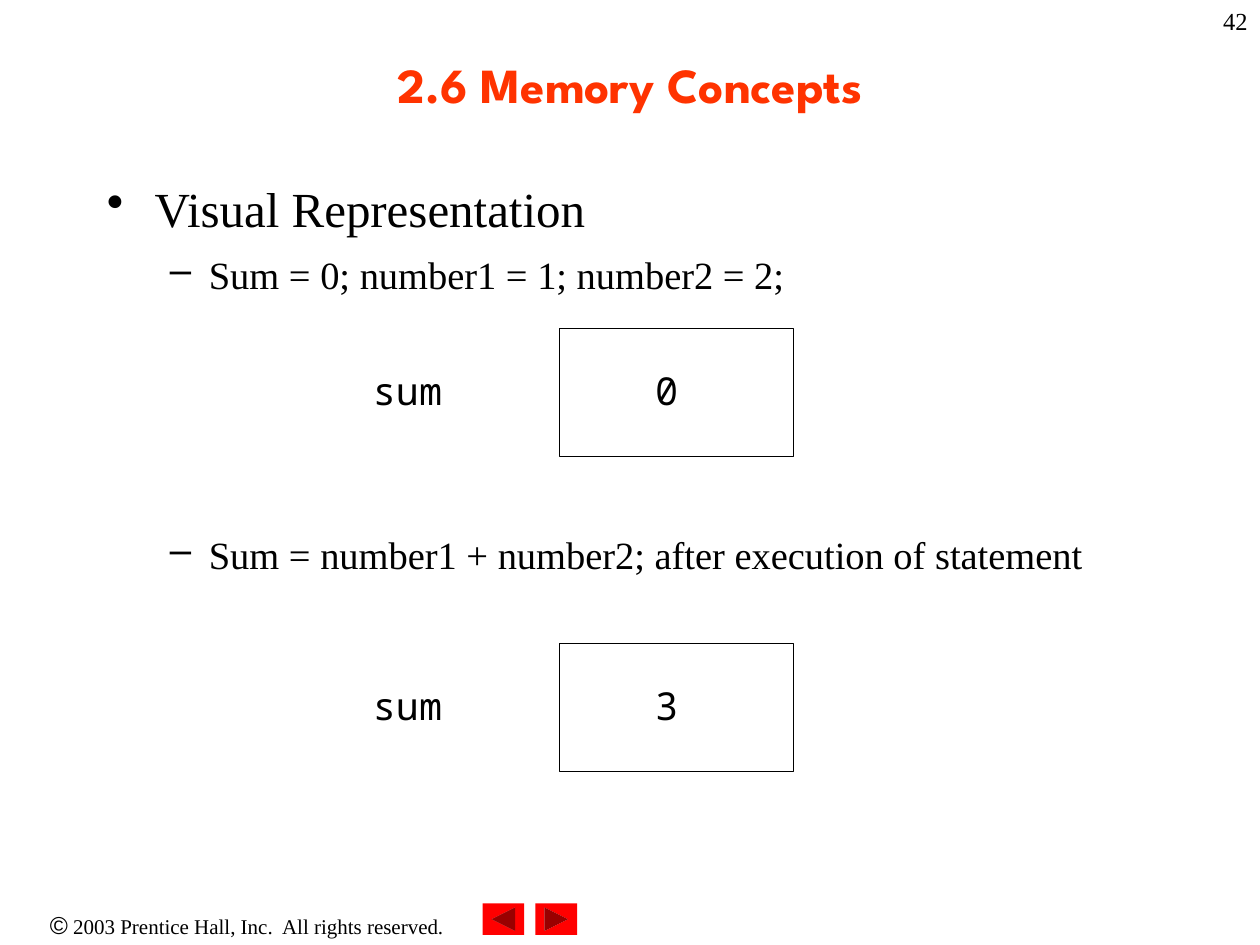
"""Build a slide on memory concepts with two labelled memory cells."""
import pptx
import pptx.util
import pptx.dml.color
import pptx.enum.shapes
import pptx.enum.text
import pptx.oxml.ns
import lxml.etree

Inches, Pt = pptx.util.Inches, pptx.util.Pt
Shape = pptx.enum.shapes.MSO_SHAPE
Align = pptx.enum.text.PP_ALIGN
Anchor = pptx.enum.text.MSO_ANCHOR
hues = {"text": "000000", "title": "FF3300", "button": "FF0000", "cell": "FFFFFF"}
serif, mono = "Times New Roman", "Noto Sans Mono"


def style(run, size, face, hue="text"):
    run.font.size = Pt(size)
    run.font.name = face
    run.font.color.rgb = pptx.dml.color.RGBColor.from_string(hues[hue])


def write(shapes, box, text, size, face, align=Align.LEFT, inset=(0.1, 0.05)):
    frame = shapes.add_textbox(*map(Inches, box)).text_frame
    frame.margin_left = frame.margin_right = Inches(inset[0])
    frame.margin_top = frame.margin_bottom = Inches(inset[1])
    frame.word_wrap = inset[0] > 0
    frame.text = text
    frame.paragraphs[0].alignment = align
    for run in frame.paragraphs[0].runs:
        style(run, size, face)
    return frame


deck = pptx.Presentation()
deck.slide_width, deck.slide_height = Inches(10), Inches(7.5)
slide = deck.slides.add_slide(deck.slide_layouts[5])
shapes = slide.shapes

title = shapes.title
title.left, title.top = Inches(0.75), Inches(0.08)
title.width, title.height = Inches(8.5), Inches(1.17)
frame = title.text_frame
frame.text = "2.6 Memory Concepts"
frame.vertical_anchor = Anchor.MIDDLE
frame.paragraphs[0].alignment = Align.CENTER
style(frame.paragraphs[0].runs[0], 28, "League Spartan", "title")
frame.paragraphs[0].runs[0].font.bold = True

points = [
    ("Visual Representation", 0, 28, 0),
    ("Sum = 0; number1 = 1; number2 = 2;", 1, 22, 7.5),
    ("Sum = number1 + number2; after execution of statement", 1, 22, 134),
]
indents = [(0.38, -0.38, "•"), (0.81, -0.31, "–")]
body = write(shapes, (0.75, 1.37, 8.5, 5.71), points[0][0], 28, serif)
for text, level, size, gap in points:
    para = body.paragraphs[0] if level == 0 else body.add_paragraph()
    para.text = text
    para.level = level
    para.space_before = Pt(gap)
    left, hang, mark = indents[level]
    props = para._p.get_or_add_pPr()
    props.set("marL", str(Inches(left)))
    props.set("indent", str(Inches(hang)))
    bullet = lxml.etree.SubElement(props, pptx.oxml.ns.qn("a:buChar"))
    bullet.set("char", mark)
    style(para.runs[0], size, serif)

for top, value in [(2.61, "0"), (5.11, "3")]:
    group = shapes.add_group_shape().shapes
    cell = group.add_shape(Shape.RECTANGLE, *map(Inches, (4.44, top, 1.86, 1.01)))
    cell.shadow.inherit = False
    cell.fill.solid()
    cell.fill.fore_color.rgb = pptx.dml.color.RGBColor.from_string(hues["cell"])
    cell.line.color.rgb = pptx.dml.color.RGBColor.from_string(hues["text"])
    cell.line.width = Pt(0.5)
    for left, width, text in [(2.96, 0.55, "sum"), (5.2, 0.18, value)]:
        write(group, (left, top + 0.3, width, 0.37), text, 22, mono, inset=(0, 0))

notice = write(shapes, (0, 7.17, 3.92, 0.34), "©", 14, "Arial", Align.CENTER)
tail = notice.paragraphs[0].add_run()
tail.text = " 2003 Prentice Hall, Inc.  All rights reserved."
style(tail, 12, serif)

buttons = [
    (3.83, Shape.ACTION_BUTTON_BACK_OR_PREVIOUS),
    (4.25, Shape.ACTION_BUTTON_FORWARD_OR_NEXT),
]
for left, kind in buttons:
    button = shapes.add_shape(kind, *map(Inches, (left, 7.17, 0.33, 0.25)))
    button.shadow.inherit = False
    button.fill.solid()
    button.fill.fore_color.rgb = pptx.dml.color.RGBColor.from_string(hues["button"])
    button.line.fill.background()

write(shapes, (7.92, 0, 2.08, 0.5), "42", 14, serif, Align.RIGHT)

deck.save("out.pptx")
